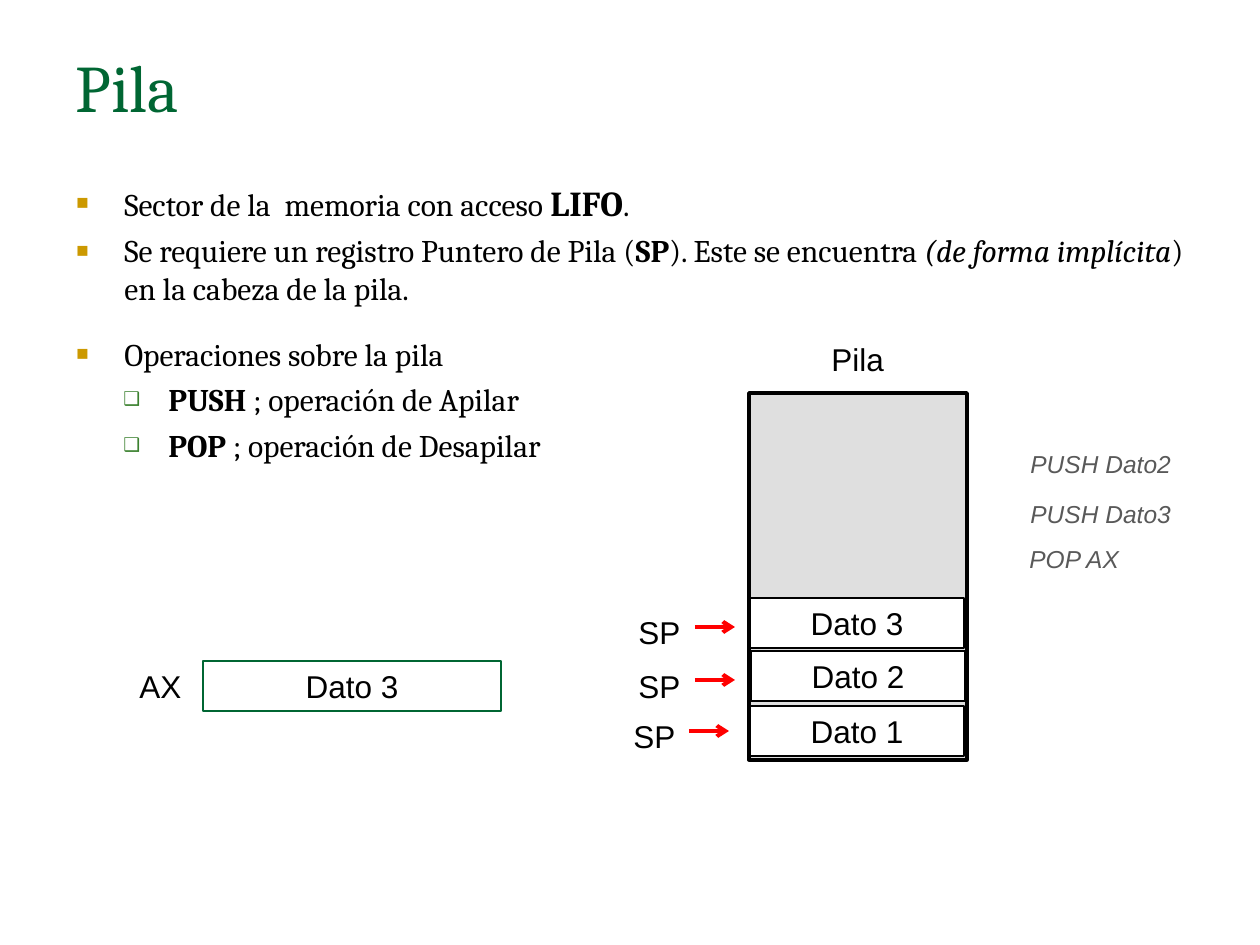
from lxml import etree
from pptx import Presentation
from pptx.dml.color import RGBColor
from pptx.enum.shapes import MSO_CONNECTOR, MSO_SHAPE
from pptx.enum.text import MSO_ANCHOR, MSO_AUTO_SIZE, PP_ALIGN
from pptx.oxml.ns import qn
from pptx.util import Emu, Pt

RECTANGLE = MSO_SHAPE.RECTANGLE
STRAIGHT = MSO_CONNECTOR.STRAIGHT
LEFT, CENTER = PP_ALIGN.LEFT, PP_ALIGN.CENTER
MIDDLE = MSO_ANCHOR.MIDDLE
NO_FIT, GROW = MSO_AUTO_SIZE.NONE, MSO_AUTO_SIZE.SHAPE_TO_FIT_TEXT

EMU_PER_PX = 914400 / 126
BLACK, GREEN, GRAY, RED = "000000", "006633", "595959", "FF0000"


def px(*lengths):
    return [Emu(round(length * EMU_PER_PX)) for length in lengths]


def rgb(value):
    return RGBColor.from_string(value)


prs = Presentation()
prs.slide_width, prs.slide_height = px(1260, 945)
slide = prs.slides.add_slide(prs.slide_layouts[5])
shapes = slide.shapes

# Title
title = shapes.title
title.left, title.top, title.width, title.height = px(63, 37, 1134, 97)
title.text_frame.text = "Pila"
title.text_frame.auto_size = NO_FIT
title.text_frame.vertical_anchor = MIDDLE
heading = title.text_frame.paragraphs[0]
heading.alignment = LEFT
heading.font.size = Pt(38)
heading.font.name = "Cambria"
heading.font.color.rgb = rgb(GREEN)

# Bulleted explanation: level, space before, runs of (text, size, style)
points = [
    (0, 4.5, [("Sector de la  memoria con acceso ", 18, ""), ("LIFO", 20, "b"), (".", 18, "")]),
    (0, 4.5, [("Se requiere un registro Puntero de Pila (", 18, ""), ("SP", 18, "b"),
              ("). Este se encuentra ", 18, ""), ("(de forma implícita", 18, "i"),
              (") en la cabeza de la pila.", 18, "")]),
    (0, 16, [("Operaciones sobre la pila", 18, "")]),
    (1, 4.5, [("PUSH ", 18, "b"), ("; operación de Apilar", 18, "")]),
    (1, 4.5, [("POP ", 18, "b"), ("; operación de Desapilar", 18, "")]),
]
# Per level: left margin, hanging indent, bullet, colour, size in percent
bullet_levels = [(48, -48, "■", "CC9900", 65), (92, -45, "❑", "3B812F", 60)]

explanation = shapes.add_textbox(*px(64, 175, 1134, 645)).text_frame
explanation.word_wrap = True
for index, (level, space, pieces) in enumerate(points):
    point = explanation.add_paragraph() if index else explanation.paragraphs[0]
    point.level = level
    point.space_before = Pt(space)
    for text, size, style in pieces:
        run = point.add_run()
        run.text = text
        run.font.size = Pt(size)
        run.font.name = "Cambria"
        run.font.bold = style == "b"
        run.font.italic = style == "i"
        run.font.color.rgb = rgb(BLACK)
    margin, indent, symbol, color, percent = bullet_levels[level]
    properties = point._p.get_or_add_pPr()
    for name, length in zip(("marL", "indent"), px(margin, indent)):
        properties.set(name, str(length))
    bullet_color = etree.SubElement(properties, qn("a:buClr"))
    etree.SubElement(bullet_color, qn("a:srgbClr"), val=color)
    etree.SubElement(properties, qn("a:buSzPct"), val=str(percent * 1000))
    etree.SubElement(properties, qn("a:buFont"), typeface="Arial")
    etree.SubElement(properties, qn("a:buChar"), char=symbol)

# Stack, its entries and the AX register: box, text, fill, line colour, line width
boxes = [
    (749, 393, 218, 367, "", "DFDFDF", BLACK, 2),
    (750, 706, 214, 50, "Dato 1", "FFFFFF", BLACK, 1),
    (751, 651, 214, 50, "Dato 2", "FFFFFF", BLACK, 1),
    (750, 598, 214, 50, "Dato 3", "FFFFFF", BLACK, 1),
    (203, 661, 298, 50, "Dato 3", None, GREEN, 1.5),
]
for left, top, width, height, text, fill, line, weight in boxes:
    box = shapes.add_shape(RECTANGLE, *px(left, top, width, height))
    box.shadow.inherit = False
    if fill:
        box.fill.solid()
        box.fill.fore_color.rgb = rgb(fill)
    else:
        box.fill.background()
    box.line.color.rgb = rgb(line)
    box.line.width = Pt(weight)
    if text:
        box.text_frame.text = text
        entry = box.text_frame.paragraphs[0]
        entry.alignment = CENTER
        entry.font.size = Pt(18)
        entry.font.name = "Arial"
        entry.font.color.rgb = rgb(BLACK)

# Labels and instructions on one line each: box, text, size, colour
labels = [
    (819, 334, 78, 50, "Pila", 18, BLACK),
    (621, 711, 68, 50, "SP", 18, BLACK),
    (626, 661, 68, 50, "SP", 18, BLACK),
    (626, 607, 68, 50, "SP", 18, BLACK),
    (127, 661, 68, 50, "AX", 18, BLACK),
    (1018, 443, 166, 43, "PUSH Dato2", 14, GRAY),
    (1018, 493, 166, 43, "PUSH Dato3", 14, GRAY),
    (1017, 538, 116, 43, "POP AX", 14, GRAY),
]
for left, top, width, height, text, size, color in labels:
    label = shapes.add_textbox(*px(left, top, width, height)).text_frame
    label.word_wrap = False
    label.auto_size = GROW
    label.text = text
    font = label.paragraphs[0].font
    font.size = Pt(size)
    font.name = "Arial"
    font.italic = color == GRAY
    font.color.rgb = rgb(color)

# Stack pointer arrows
for left, y in [(689, 731), (695, 680), (695, 627)]:
    pointer = shapes.add_connector(STRAIGHT, *px(left, y, left + 40, y))
    pointer.line.color.rgb = rgb(RED)
    pointer.line.width = Pt(2.25)
    etree.SubElement(pointer.line._get_or_add_ln(), qn("a:tailEnd"), type="arrow")
    etree.SubElement(pointer._element.spPr, qn("a:effectLst"))

prs.save("out.pptx")
